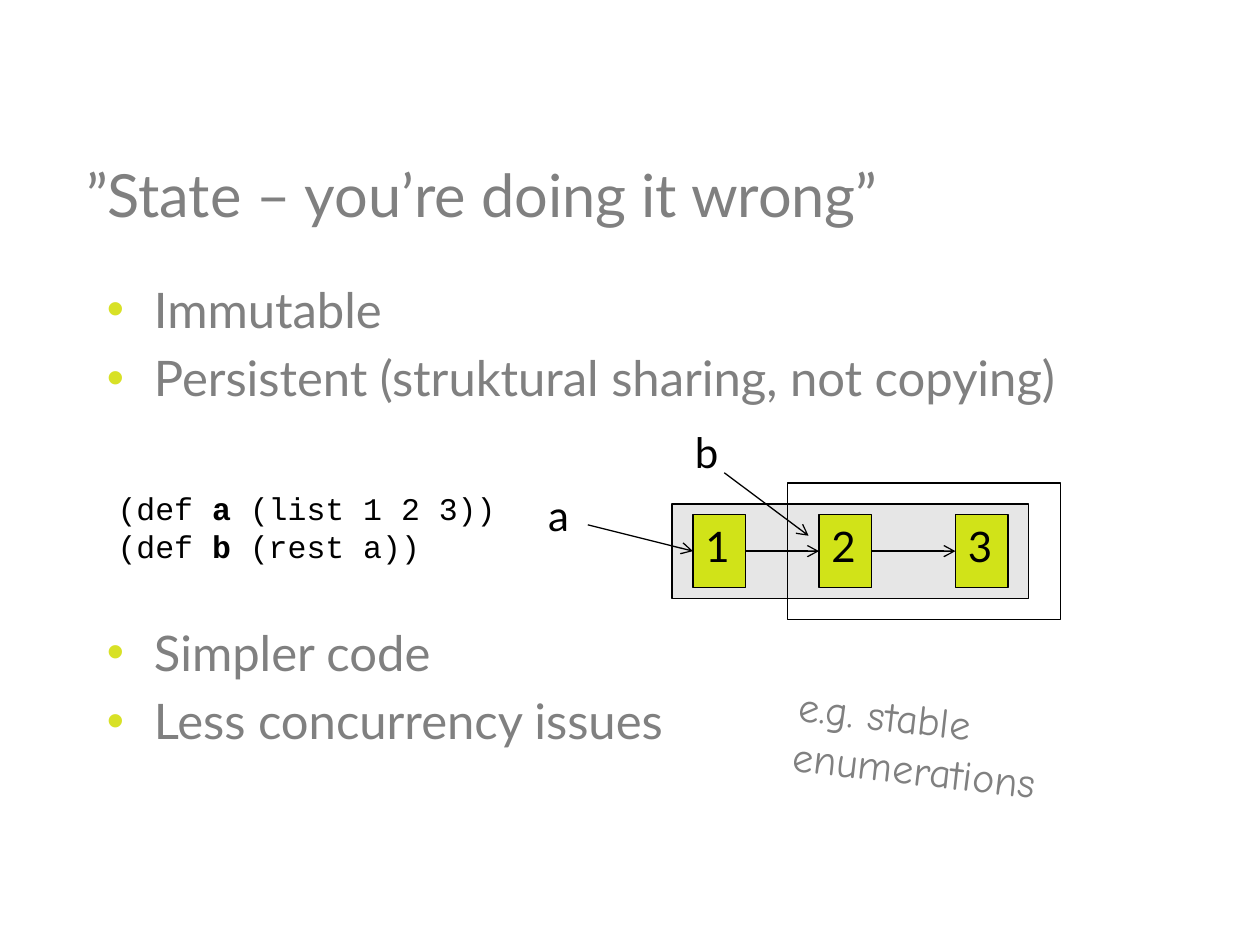
import pptx
import pptx.dml.color
import pptx.enum.shapes
import pptx.enum.text
import pptx.oxml.ns
import pptx.util
from lxml import etree

Cm = pptx.util.Cm
Pt = pptx.util.Pt
RGBColor = pptx.dml.color.RGBColor
Anchor = pptx.enum.text.MSO_ANCHOR

GRAY = RGBColor(0x80, 0x80, 0x80)
BLACK = RGBColor(0x00, 0x00, 0x00)
LIME = RGBColor(0xD1, 0xE3, 0x18)
PALE = RGBColor(0xE6, 0xE6, 0xE6)
BULLET = RGBColor(0xD8, 0xE1, 0x26)

# Content; lengths are centimetres, boxes are (left, top, width, height)
TITLE = "”State – you’re doing it wrong”"
BULLETS = [  # text, space before in points
    ("Immutable", 0),
    ("Persistent (struktural sharing, not copying)", 5.6),
    ("Simpler code", 123.2),  # leaves room for the code and the diagram
    ("Less concurrency issues", 5.6),
]
CODE = [  # lines of (text, bold) runs
    [("(def ", False), ("a", True), (" (list 1 2 3))", False)],
    [("(def ", False), ("b", True), (" (rest a))", False)],
]
NOTE = "e.g. stable enumerations"
LIST_A_BOX = (13.55, 10.16, 7.19, 1.9)
LIST_B_BOX = (15.88, 9.74, 5.5, 2.75)
NODES = [("1", 13.97), ("2", 16.51), ("3", 19.26)]  # text, left
NODE_TOP, NODE_WIDTH, NODE_HEIGHT = 10.37, 1.06, 1.48
NODE_MIDDLE = NODE_TOP + NODE_HEIGHT / 2
POINTERS = [  # name, label position, arrow start, arrow end
    ("a", (10.8, 9.74), (11.85, 10.58), (NODES[0][1], NODE_MIDDLE)),
    ("b", (13.76, 8.47), (14.6, 9.53), (16.3, 10.8)),
]


def write_text(shape, lines, *, size, font="Lato", color=BLACK, anchor=Anchor.TOP):
    """Fill a shape with left-aligned lines, each a string or (text, bold) runs."""
    frame = shape.text_frame
    frame.word_wrap = True
    frame.auto_size = pptx.enum.text.MSO_AUTO_SIZE.NONE
    frame.vertical_anchor = anchor
    for index, line in enumerate(lines):
        paragraph = frame.paragraphs[0] if index == 0 else frame.add_paragraph()
        paragraph.alignment = pptx.enum.text.PP_ALIGN.LEFT
        for text, bold in [(line, False)] if isinstance(line, str) else line:
            run = paragraph.add_run()
            run.text = text
            run.font.name = font
            run.font.size = Pt(size)
            run.font.bold = bold
            run.font.color.rgb = color
    return frame


def place(shape, box):
    shape.left, shape.top, shape.width, shape.height = map(Cm, box)


def set_bullet(paragraph):
    properties = paragraph._p.get_or_add_pPr()
    properties.set("marL", str(Cm(0.95)))
    properties.set("indent", str(-Cm(0.95)))
    color = etree.SubElement(properties, pptx.oxml.ns.qn("a:buClr"))
    etree.SubElement(color, pptx.oxml.ns.qn("a:srgbClr"), val=str(BULLET))
    etree.SubElement(properties, pptx.oxml.ns.qn("a:buChar"), char="•")


def add_box(slide, box, fill=None):
    shape = slide.shapes.add_shape(
        pptx.enum.shapes.MSO_SHAPE.RECTANGLE, *map(Cm, box))
    shape.shadow.inherit = False
    if fill is None:
        shape.fill.background()
    else:
        shape.fill.solid()
        shape.fill.fore_color.rgb = fill
    shape.line.color.rgb = BLACK
    shape.line.width = Pt(0.75)
    return shape


def add_arrow(slide, start, end):
    arrow = slide.shapes.add_connector(
        pptx.enum.shapes.MSO_CONNECTOR.STRAIGHT, *map(Cm, (*start, *end)))
    arrow.line.color.rgb = BLACK
    arrow.line.width = Pt(0.75)
    etree.SubElement(arrow.line._get_or_add_ln(),
                     pptx.oxml.ns.qn("a:tailEnd"), type="arrow")
    etree.SubElement(arrow._element.spPr, pptx.oxml.ns.qn("a:effectLst"))


def add_text(slide, box, lines, **text_format):
    shape = slide.shapes.add_textbox(*map(Cm, box))
    write_text(shape, lines, **text_format)
    return shape


def add_diagram(slide):
    add_box(slide, LIST_A_BOX, PALE)
    for text, left in NODES:
        node = add_box(slide, (left, NODE_TOP, NODE_WIDTH, NODE_HEIGHT), LIME)
        write_text(node, [text], size=24)
    for (_, left), (_, next_left) in zip(NODES, NODES[1:]):
        add_arrow(slide, (left + NODE_WIDTH, NODE_MIDDLE), (next_left, NODE_MIDDLE))
    add_box(slide, LIST_B_BOX)
    for name, position, start, end in POINTERS:
        add_text(slide, (*position, 1, 1.27), [name], size=24)
        add_arrow(slide, start, end)


def main():
    presentation = pptx.Presentation()
    presentation.slide_width, presentation.slide_height = Cm(25.4), Cm(19.05)
    slide = presentation.slides.add_slide(presentation.slide_layouts[1])
    title, body = slide.placeholders

    place(title, (1.48, 2.96, 17.78, 1.9))
    write_text(title, [TITLE], size=34, color=GRAY, anchor=Anchor.MIDDLE)

    place(body, (1.9, 5.5, 21.4, 11.43))
    frame = write_text(body, [text for text, _ in BULLETS], size=28, color=GRAY)
    for paragraph, (_, space) in zip(frame.paragraphs, BULLETS):
        paragraph.space_before = Pt(space)
        set_bullet(paragraph)

    add_text(slide, (2.12, 9.74, 8.26, 1.8), CODE, size=18, font="Courier New")
    add_diagram(slide)
    note = add_text(slide, (15.78, 13.94, 7.11, 2.31), [NOTE],
                    size=24, font="Comic Neue", color=GRAY)
    note.rotation = 6.4
    presentation.save("out.pptx")


if __name__ == "__main__":
    main()
